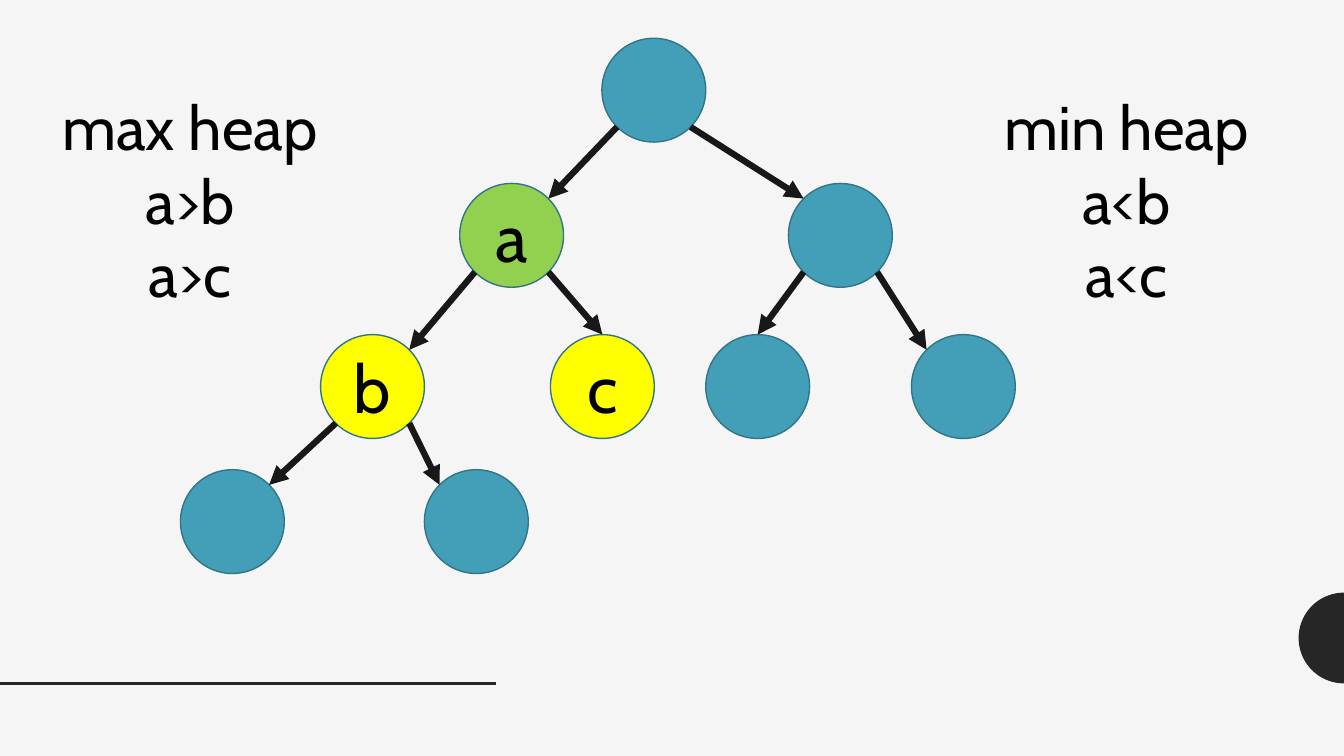
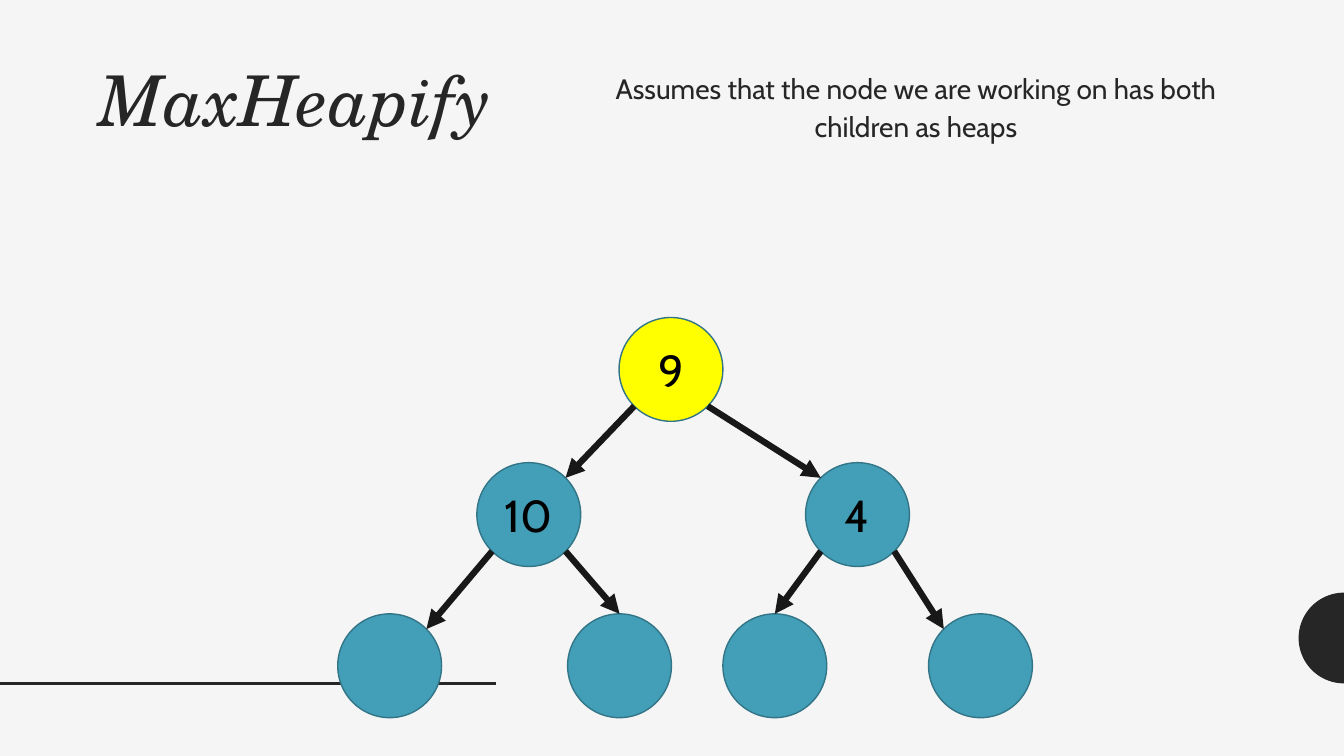
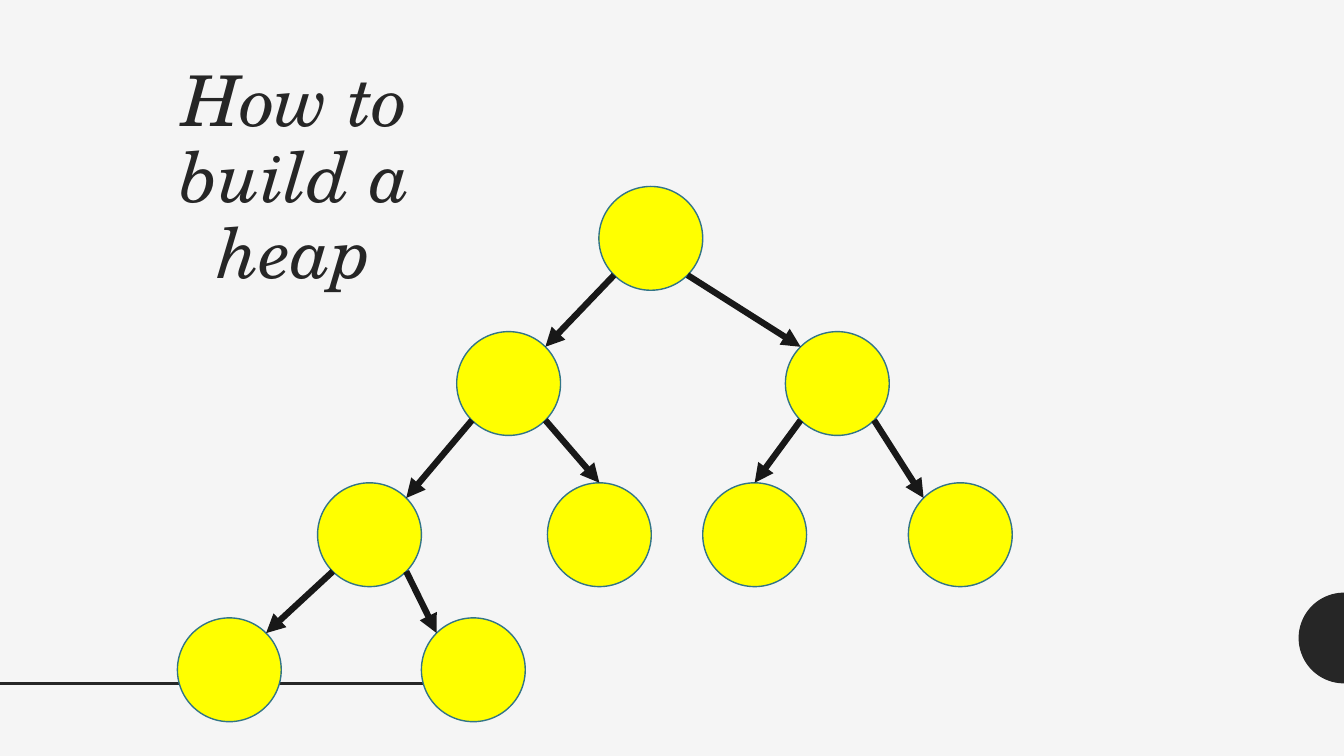
import math

import pptx
import pptx.util
import pptx.dml.color
import pptx.enum.shapes
import pptx.enum.text
import pptx.oxml
import pptx.oxml.ns

Inches = pptx.util.Inches
Pt = pptx.util.Pt
CENTER = pptx.enum.text.PP_ALIGN.CENTER

WIDTH, HEIGHT = 13.33, 7.5
PAPER, DARK, BLACK, ARROW = "F5F5F5", "262626", "000000", "181818"
BLUE, RIM, GREEN, YELLOW = "439EB7", "327587", "92D050", "FFFF00"
SANS, SERIF = "Cabin", "TeX Gyre Schola"

# Nodes in heap order: the children of node i are 2i + 1 and 2i + 2.
NODE = 1.03
NODE_OFFSETS = [(4.18, 0), (2.77, 1.44), (6.03, 1.44),
                (1.39, 2.94), (3.67, 2.94), (5.21, 2.94), (7.25, 2.94),
                (0, 4.28), (2.42, 4.28)]
INNER_NODES = (4, 5)  # entered from straight above
NEAR = NODE / 2 * (1 - math.sqrt(0.5))
FAR = NODE - NEAR


def rgb(color):
    return pptx.dml.color.RGBColor.from_string(color)


def paint(sp, fill, line=None):
    sp.shadow.inherit = False
    sp.fill.solid()
    sp.fill.fore_color.rgb = rgb(fill)
    if line:
        sp.line.color.rgb = rgb(line)
        sp.line.width = Pt(1)
    else:
        sp.line.fill.background()


def add_run(p, text, size, font, color, italic=False):
    p.alignment = CENTER
    r = p.add_run()
    r.text = text
    r.font.size = Pt(size)
    r.font.name = font
    r.font.italic = italic
    r.font.color.rgb = rgb(color)


def add_line(shapes, start, end, color, width, arrow=False):
    line = shapes.add_connector(pptx.enum.shapes.MSO_CONNECTOR.STRAIGHT,
                                *[Inches(v) for v in (*start, *end)])
    line.line.color.rgb = rgb(color)
    line.line.width = Pt(width)
    if arrow:
        tail = pptx.oxml.parse_xml(
            '<a:tailEnd %s type="triangle"/>' % pptx.oxml.ns.nsdecls("a"))
        line.line._get_or_add_ln().append(tail)
    line.element.spPr.append(
        pptx.oxml.parse_xml("<a:effectLst %s/>" % pptx.oxml.ns.nsdecls("a")))
    return line


def add_text_box(slide, left, top, width, height):
    box = slide.shapes.add_textbox(Inches(left), Inches(top), Inches(width), Inches(height))
    box.text_frame.word_wrap = True
    return box.text_frame


def decorate_master(prs, slide):
    """Put the background, half disc and rule on the master, by way of a slide."""
    master = prs.slide_master
    master.background.fill.solid()
    master.background.fill.fore_color.rgb = rgb(PAPER)

    middle, radius, steps = 6.33, 0.45, 48
    arc = [(Inches(WIDTH - radius * math.sin(math.pi * i / steps)),
            Inches(middle - radius * math.cos(math.pi * i / steps)))
           for i in range(steps + 1)]
    builder = slide.shapes.build_freeform(*arc[0])
    builder.add_line_segments(arc[1:], close=True)
    half_disc = builder.convert_to_shape()
    paint(half_disc, DARK)
    rule = add_line(slide.shapes, (0, 6.78), (4.92, 6.78), DARK, 2)
    for sp in (half_disc, rule):
        master.shapes.element.append(sp.element)


def add_title(slide, text):
    title = slide.shapes.title
    title.left, title.top = Inches(0.83), Inches(0.61)
    title.width, title.height = Inches(4.19), Inches(5.42)
    tf = title.text_frame
    tf.word_wrap = True
    tf.auto_size = pptx.enum.text.MSO_AUTO_SIZE.NONE
    tf.vertical_anchor = pptx.enum.text.MSO_ANCHOR.TOP
    p = tf.paragraphs[0]
    p.line_spacing = 0.9
    add_run(p, text, 50, SERIF, DARK, italic=True)


def add_node(slide, left, top, fill, label, size):
    node = slide.shapes.add_shape(pptx.enum.shapes.MSO_SHAPE.OVAL, Inches(left),
                                  Inches(top), Inches(NODE), Inches(NODE))
    paint(node, fill, RIM)
    if label:
        tf = node.text_frame
        tf.vertical_anchor = pptx.enum.text.MSO_ANCHOR.MIDDLE
        add_run(tf.paragraphs[0], label, size, SANS, BLACK)
    return node


def add_tree(slide, left, top, count, fill=BLUE, fills=None, labels=None, size=32):
    """Draw the first count nodes; fills and labels are keyed by node index."""
    fills, labels = fills or {}, labels or {}
    spots = [(left + dx, top + dy) for dx, dy in NODE_OFFSETS[:count]]
    nodes = [add_node(slide, x, y, fills.get(i, fill), labels.get(i), size)
             for i, (x, y) in enumerate(spots)]
    for child in range(1, count):
        px, py = spots[(child - 1) // 2]
        cx, cy = spots[child]
        out_x, in_x = (NEAR, FAR) if child % 2 else (FAR, NEAR)
        arrow = add_line(slide.shapes, (px + out_x, py + FAR), (cx + in_x, cy + NEAR),
                         ARROW, 4.5, arrow=True)
        if child in INNER_NODES:
            arrow.end_connect(nodes[child], 0)


def add_heap_rule(slide, left, top, name, sign):
    tf = add_text_box(slide, left, top, 4.85, 2.32)
    add_run(tf.paragraphs[0], name, 44, SANS, BLACK)
    p = tf.add_paragraph()
    add_run(p, f"a{sign}b", 44, SANS, BLACK)
    p.add_line_break()
    add_run(p, f"a{sign}c", 44, SANS, BLACK)


def heap_kinds_slide(slide):
    add_tree(slide, 1.79, 0.38, 9, fills={1: GREEN, 3: YELLOW, 4: YELLOW},
             labels={1: "a", 3: "b", 4: "c"}, size=48)
    add_heap_rule(slide, -0.54, 0.83, "max heap", ">")
    add_heap_rule(slide, 8.75, 0.83, "min heap", "<")


def max_heapify_slide(slide):
    add_title(slide, "MaxHeapify")
    p = add_text_box(slide, 5.67, 0.62, 6.83, 6.18).paragraphs[0]
    p.line_spacing = 1.12
    p.space_before = Pt(9)
    add_run(p, "Assumes that the node we are working on has both children as heaps",
            20, SANS, DARK)
    add_tree(slide, 1.96, 3.15, 7, fills={0: YELLOW}, labels={0: "9", 1: "10", 2: "4"})


def build_heap_slide(slide):
    add_title(slide, "How to build a heap")
    add_tree(slide, 1.76, 1.85, 9, fill=YELLOW)


def main():
    prs = pptx.Presentation()
    prs.slide_width, prs.slide_height = Inches(WIDTH), Inches(HEIGHT)
    title_only, blank = prs.slide_layouts[5], prs.slide_layouts[6]
    first = prs.slides.add_slide(blank)
    decorate_master(prs, first)
    heap_kinds_slide(first)
    max_heapify_slide(prs.slides.add_slide(title_only))
    build_heap_slide(prs.slides.add_slide(title_only))
    prs.save("out.pptx")


if __name__ == "__main__":
    main()
